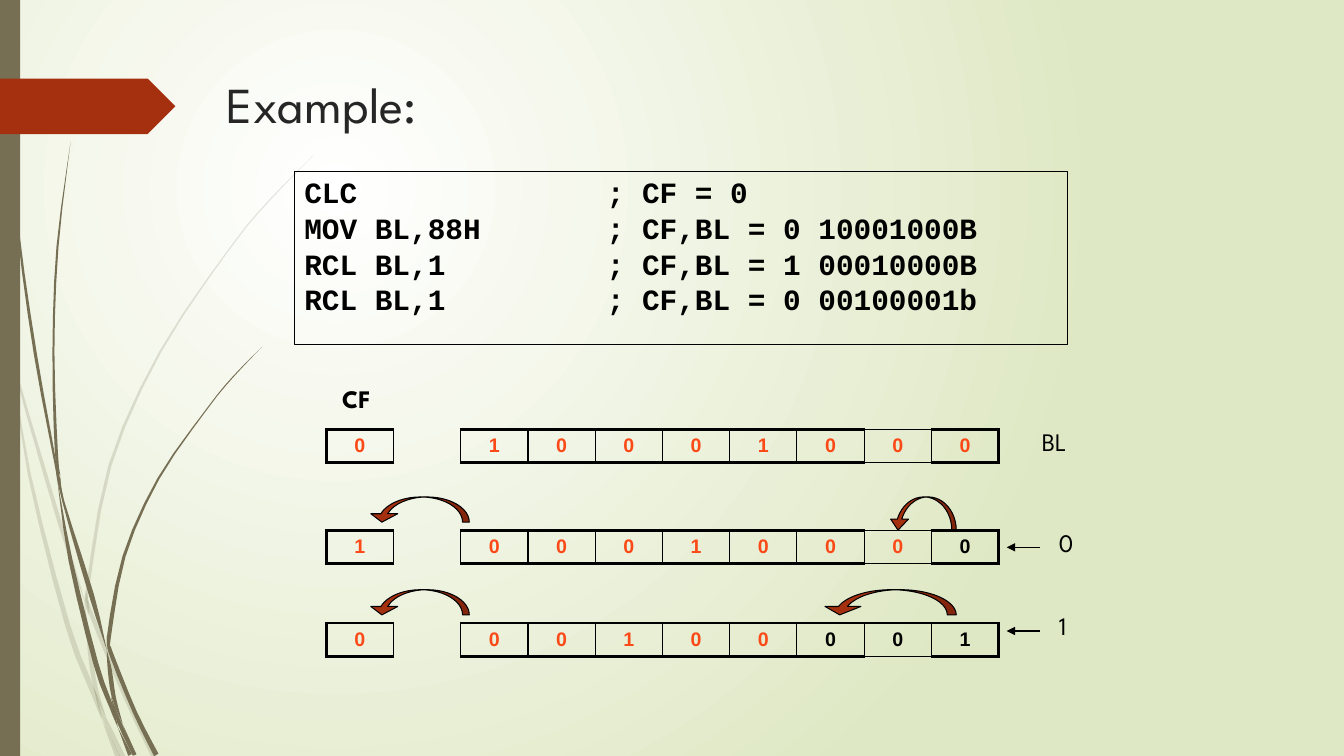
from math import hypot

from lxml import etree
from pptx import Presentation, util as u
from pptx.dml.color import RGBColor
from pptx.enum import shapes, text
from pptx.oxml import parse_xml
from pptx.oxml.ns import nsdecls, qn

BLACK = RGBColor(0, 0, 0)
TITLE = RGBColor(0x26, 0x26, 0x26)
OLIVE = RGBColor(0x76, 0x6F, 0x54)
RUST = RGBColor(0xA5, 0x30, 0x10)
BIT = RGBColor(0xFB, 0x4A, 0x18)
WHITE = RGBColor(255, 255, 255)
PALE = RGBColor(0xDF, 0xE8, 0xC4)
SANS = "League Spartan"
WIDTH, HEIGHT = 13.33, 7.5
CELL, ROW = 0.667, 0.33
THICK, THIN = 2.25, 1

LIGHT_BLADES = [
    [(0, 2.9, 0.04), (0.08, 3.25, 0.03), (0.11, 3.5, 0)],
    [(0.14, 3.45, 0), (0.16, 3.7, 0.02), (0.6, 5.21, 0.04), (0.85, 5.99, 0)],
    [(0.88, 5.96, 0), (0.9, 6.08, 0.04), (1.25, 6.93, 0.04), (1.53, 7.51, 0.05)],
    [(1.05, 7.11, 0), (1.22, 7.51, 0.05)],
    [(0.11, 3.5, 0), (0.29, 4.7, 0.03), (0.67, 6.2, 0.05), (0.93, 6.88, 0.05),
     (1.01, 7.14, 0)],
    [(0.84, 5.99, 0), (0.89, 6.46, 0.04), (0.95, 6.83, 0.04), (1.05, 7.11, 0)],
    [(3.12, 1.53, 0), (2.68, 1.98, 0.01), (2.29, 2.45, 0.01), (1.59, 3.49, 0.02),
     (1.09, 4.62, 0.03), (0.87, 5.84, 0.03), (0.88, 5.96, 0)],
    [(1.01, 7.14, 0), (1.17, 7.51, 0.05)],
    [(0.85, 5.86, 0), (0.86, 5.98, 0.04), (0.88, 6.1, 0)],
    [(0.93, 6.83, 0), (1.02, 7.09, 0.04), (1.19, 7.51, 0)],
]
DARK_BLADES = [
    [(0.03, -0.04, 0.01), (0.08, 1.05, 0.01), (0.18, 2.29, 0.02), (0.35, 3.51, 0.03),
     (0.55, 4.6, 0.02), (0.57, 4.77, 0)],
    [(0.6, 4.72, 0), (0.63, 4.98, 0.02), (0.91, 5.91, 0.05), (1.06, 6.45, 0)],
    [(1.1, 6.41, 0), (1.12, 6.53, 0.04), (1.34, 7.07, 0.04), (1.55, 7.49, 0.05)],
    [(0.57, 4.77, 0), (0.7, 5.56, 0.04), (0.95, 6.58, 0.05), (1.1, 7, 0.04),
     (1.17, 7.22, 0)],
    [(0.7, 1.41, 0), (0.57, 2.45, 0.02), (0.53, 3.49, 0.02), (0.56, 4.5, 0.03),
     (0.6, 4.72, 0)],
    [(1.22, 7.19, 0), (1.34, 7.49, 0.03)],
    [(0.55, 4.49, 0), (0.58, 4.75, 0.03), (0.64, 5.05, 0)],
    [(2.6, 3.44, 0), (2.31, 3.74, 0.01), (2.05, 4.06, 0.01), (1.57, 4.75, 0.02),
     (1.23, 5.52, 0.03), (1.08, 6.32, 0.04), (1.1, 6.41, 0)],
    [(1.17, 7.22, 0), (1.29, 7.49, 0.04)],
    [(1.06, 6.45, 0), (1.09, 6.65, 0.04), (1.13, 6.92, 0.04), (1.22, 7.19, 0)],
    [(1.06, 6.31, 0), (1.08, 6.43, 0.03), (1.11, 6.56, 0)],
    [(1.1, 6.91, 0), (1.18, 7.16, 0.04), (1.33, 7.49, 0.03)],
]
CODE = [
    "CLC\t\t; CF = 0",
    "MOV BL,88H\t\t; CF,BL = 0 10001000B",
    "RCL BL,1\t\t; CF,BL = 1 00010000B",
    "RCL BL,1\t\t; CF,BL = 0 00100001b",
]


def inches(*lengths):
    return [u.Inches(v) for v in lengths]


def style_run(p, words, color, **formats):
    r = p.add_run()
    r.text = words
    r.font.color.rgb = color
    for name, value in formats.items():
        setattr(r.font, name, value)


def paint(sp, fill=None, line=None):
    sp.shadow.inherit = False
    if fill is None:
        sp.fill.background()
    else:
        sp.fill.solid()
        sp.fill.fore_color.rgb = fill
    if line is None:
        sp.line.fill.background()
    else:
        sp.line.color.rgb = line
        sp.line.width = u.Pt(0.75)


def add_background(s):
    fill = s.background.fill
    fill.gradient()
    for stop, color in zip(fill.gradient_stops, (WHITE, PALE)):
        stop.color.rgb = color
    grad = s._element.find(".//" + qn("a:gradFill"))
    grad.replace(grad.find(qn("a:lin")), parse_xml(
        f'<a:path {nsdecls("a")} path="circle">'
        '<a:fillToRect l="50000" t="50000" r="100000" b="100000"/></a:path>'))


def smooth(points, steps=3):
    padded = [points[0], *points, points[-1]]
    for a, b, c, d in zip(padded, padded[1:], padded[2:], padded[3:]):
        for t in (i / steps for i in range(steps)):
            yield [(2 * q + (r - o) * t + (2 * o - 5 * q + 4 * r - w) * t ** 2
                    + (3 * q - o - 3 * r + w) * t ** 3) / 2
                   for o, q, r, w in zip(a, b, c, d)]
    yield list(points[-1])


def add_blade(s, points, alpha):
    curve = list(smooth(points))
    left, right = [], []
    for i, (x, y, width) in enumerate(curve):
        before, after = curve[max(i - 1, 0)], curve[min(i + 1, len(curve) - 1)]
        dx, dy = after[0] - before[0], after[1] - before[1]
        half = width / 2 / hypot(dx, dy)
        left.append(inches(x - dy * half, y + dx * half))
        right.append(inches(x + dy * half, y - dx * half))
    outline = left + right[::-1]
    builder = s.shapes.build_freeform(*outline[0])
    builder.add_line_segments(outline[1:])
    sp = builder.convert_to_shape()
    paint(sp, OLIVE)
    color = sp._element.spPr.find(".//" + qn("a:srgbClr"))
    etree.SubElement(color, qn("a:alpha"), val=str(alpha * 1000))


def add_side(s):
    for blades, alpha in ((LIGHT_BLADES, 20), (DARK_BLADES, 100)):
        for points in blades:
            add_blade(s, points, alpha)
    for kind, box, color in (
            (shapes.MSO_SHAPE.RECTANGLE, (0, 0, 0.2, HEIGHT), OLIVE),
            (shapes.MSO_SHAPE.PENTAGON, (0, 0.78, 1.74, 0.55), RUST)):
        paint(s.shapes.add_shape(kind, *inches(*box)), color)


def add_title(s, box):
    sp = s.shapes.title
    sp.left, sp.top, sp.width, sp.height = inches(*box)
    tf = sp.text_frame
    tf.vertical_anchor = text.MSO_ANCHOR.TOP
    p = tf.paragraphs[0]
    p.alignment = text.PP_ALIGN.LEFT
    style_run(p, "Example:", TITLE, name=SANS, size=u.Pt(36))


def add_code(s, box):
    sp = s.shapes.add_shape(shapes.MSO_SHAPE.RECTANGLE, *inches(*box))
    paint(sp, line=BLACK)
    tf = sp.text_frame
    tf.word_wrap = True
    tf.vertical_anchor = text.MSO_ANCHOR.TOP
    tf.margin_top = tf.margin_bottom = u.Inches(0.15)
    for i, words in enumerate(CODE):
        p = tf.add_paragraph() if i else tf.paragraphs[0]
        for name, value in dict(alignment=text.PP_ALIGN.LEFT, line_spacing=0.6,
                                space_before=u.Pt(10.5)).items():
            setattr(p, name, value)
        tabs = etree.SubElement(p._p.get_or_add_pPr(), qn("a:tabLst"))
        for stop in (2, 3):
            etree.SubElement(tabs, qn("a:tab"), pos=str(u.Inches(stop)), algn="l")
        style_run(p, words, BLACK, name="Courier New", size=u.Pt(21), bold=True)


def add_label(s, words, x, y, width, bold=False):
    tf = s.shapes.add_textbox(*inches(x, y, width, 0.4)).text_frame
    tf.word_wrap = False
    style_run(tf.paragraphs[0], words, BLACK, name=SANS, size=u.Pt(18), bold=bold)


def set_borders(cell, widths):
    tc_pr = cell._tc.get_or_add_tcPr()
    for i, (side, width) in enumerate(zip("LRTB", widths)):
        fill = '<a:solidFill><a:srgbClr val="000000"/></a:solidFill>' if width else "<a:noFill/>"
        tc_pr.insert(i, parse_xml(
            f'<a:ln{side} {nsdecls("a")} w="{u.Pt(width)}">{fill}</a:ln{side}>'))


def add_register(s, x, y, bits, red_count):
    count = len(bits)
    table = s.shapes.add_table(1, count, *inches(x, y, CELL * count, ROW)).table
    table.first_row = table.horz_banding = False
    edges = {0: (THICK, THIN, THICK, THICK), 1: (THIN, THIN, 0, 0),
             count - 2: (THIN,) * 4, count - 1: (THIN, THICK, THICK, THICK)}
    for i, bit in enumerate(bits):
        cell = table.cell(0, i)
        cell.fill.background()
        cell.margin_top = cell.margin_bottom = 0
        cell.vertical_anchor = text.MSO_ANCHOR.MIDDLE
        set_borders(cell, edges.get(i, (THIN, THIN, THICK, THICK)))
        if bit != " ":
            p = cell.text_frame.paragraphs[0]
            p.alignment = text.PP_ALIGN.CENTER
            style_run(p, bit, BIT if i < red_count else BLACK,
                      name="Arial", size=u.Pt(14), bold=True)


def add_shift(s, right, top, width, height):
    sp = s.shapes.add_shape(shapes.MSO_SHAPE.CURVED_DOWN_ARROW,
                            *inches(right - width, top, width, height))
    paint(sp, RUST, BLACK)
    sp._element.spPr.find(qn("a:xfrm")).set("flipH", "1")
    thickness = width / height / 15
    for i, value in enumerate((thickness, 4 * thickness, 0.333)):
        sp.adjustments[i] = value


def add_carry(s, bit, x, y):
    line = s.shapes.add_connector(shapes.MSO_CONNECTOR.STRAIGHT,
                                  *inches(x + ROW, y, x, y))
    line.line.color.rgb = BLACK
    line.line.width = u.Pt(0.75)
    etree.SubElement(line.line._get_or_add_ln(), qn("a:tailEnd"), type="triangle")
    etree.SubElement(line._element.spPr, qn("a:effectLst"))
    add_label(s, bit, x + 0.42, y - 0.25, 0.34)


def add_rotation(s, x, y):
    right = x + 10 * CELL
    add_label(s, "CF", x + 0.06, y - 0.51, 0.72, bold=True)
    add_label(s, "BL", right + ROW, y - 0.08, 0.46)
    add_register(s, x, y, "0 10001000", 10)
    for top, bits, red_count, span, height, carry, carry_y in (
            (y + 1, "1 00010000", 9, 1, 0.33, "0", 0.17),
            (y + 1.92, "0 00100001", 7, 2, 0.25, "1", 0.08)):
        add_shift(s, right - 0.42, top - ROW, span * CELL, height)
        add_shift(s, x + 1.42, top - ROW, 1.5 * CELL, 0.25)
        add_register(s, x, top, bits, red_count)
        add_carry(s, carry, right + 0.08, top + carry_y)


def main():
    prs = Presentation()
    prs.slide_width, prs.slide_height = inches(WIDTH, HEIGHT)
    s = prs.slides.add_slide(prs.slide_layouts[5])
    add_background(s)
    add_side(s)
    add_title(s, (2.15, 0.68, 9.75, 0.8))
    add_code(s, (2.92, 1.7, 7.67, 1.72))
    add_rotation(s, 3.235, 4.26)
    prs.save("out.pptx")


if __name__ == "__main__":
    main()
